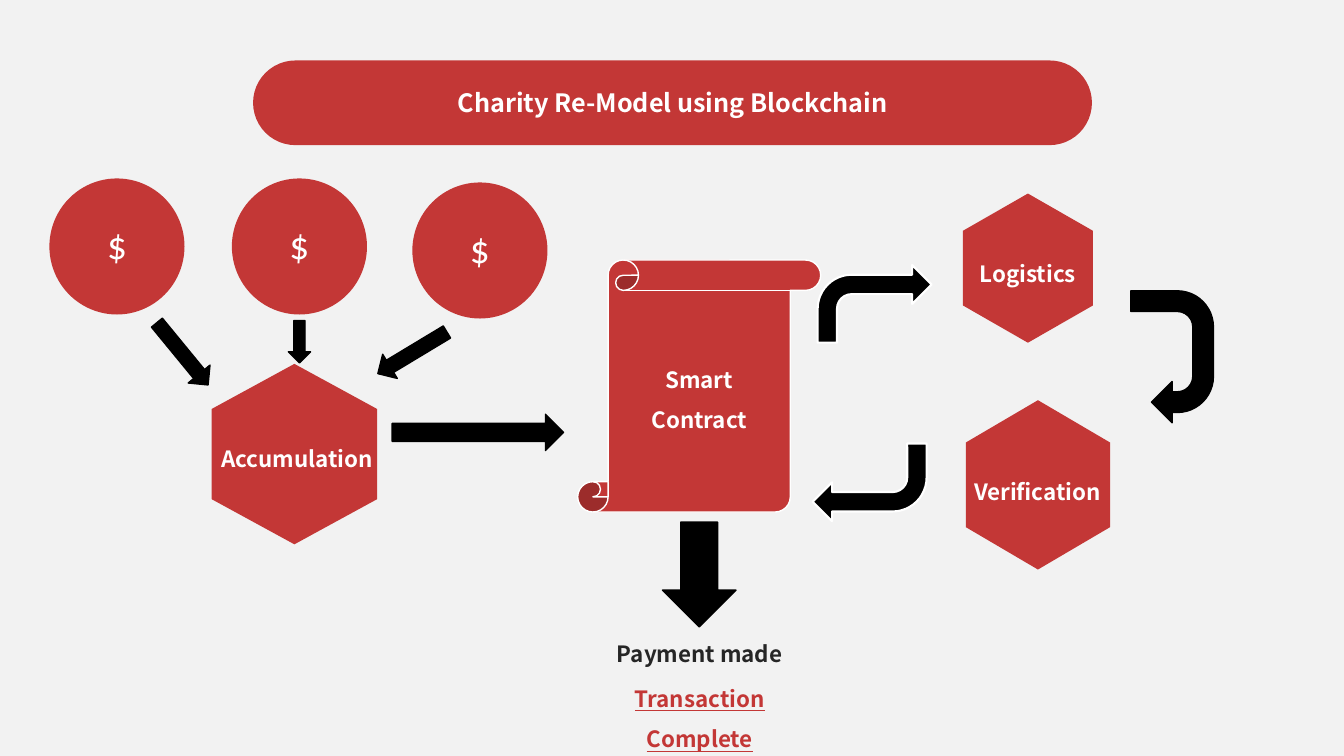
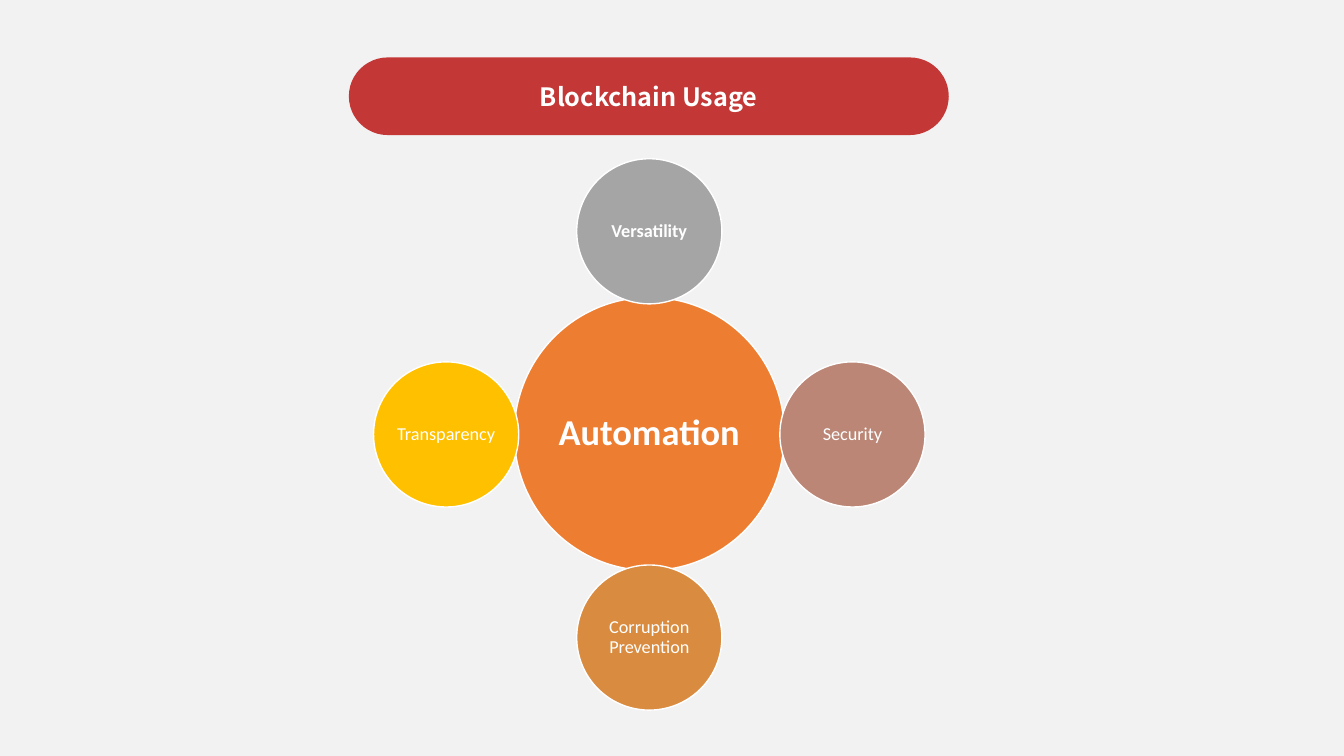
from pptx import Presentation
from pptx.dml.color import RGBColor
from pptx.enum.shapes import MSO_SHAPE as Form
from pptx.enum.text import MSO_ANCHOR as Anchor, PP_ALIGN as Align
from pptx.util import Inches, Pt

RED = RGBColor(0xC3, 0x37, 0x36)
WHITE = RGBColor(0xFF, 0xFF, 0xFF)
BLACK = RGBColor(0, 0, 0)
INK = RGBColor(0x26, 0x26, 0x26)
PAPER = RGBColor(0xF2, 0xF2, 0xF2)
ORANGE = RGBColor(0xED, 0x7D, 0x31)
GRAY = RGBColor(0xA5, 0xA5, 0xA5)
ROSE = RGBColor(0xBB, 0x86, 0x76)
AMBER = RGBColor(0xD9, 0x8B, 0x3F)
YELLOW = RGBColor(0xFF, 0xC0, 0x00)


class Deck:
    head = "Noto Sans CJK SC"
    body = "Calibri"

    def __init__(self):
        self.file = Presentation()
        self.file.slide_width = Inches(13.33)
        self.file.slide_height = Inches(7.5)
        fill = self.file.slide_master.background.fill
        fill.solid()
        fill.fore_color.rgb = PAPER

    def start(self):
        self.slide = self.file.slides.add_slide(self.file.slide_layouts[6])

    def paint(self, shape, fill, line=None, width=1):
        shape.shadow.inherit = False
        shape.fill.solid()
        shape.fill.fore_color.rgb = fill
        if line is None:
            shape.line.fill.background()
        else:
            shape.line.color.rgb = line
            shape.line.width = Pt(width)
        return shape

    def shape(self, form, box, fill=RED, line=None, width=1, turn=0):
        item = self.slide.shapes.add_shape(form, *map(Inches, box))
        item.rotation = turn
        return self.paint(item, fill, line, width)

    def style(self, para, size, font, color=WHITE, bold=True, align=Align.CENTER):
        para.alignment = align
        for run in para.runs:
            run.font.size = Pt(size)
            run.font.name = font
            run.font.bold = bold
            run.font.color.rgb = color

    def inset(self, frame, gap):
        frame.margin_left = frame.margin_right = Inches(gap)
        frame.margin_top = frame.margin_bottom = Inches(gap)

    def title(self, text, box):
        bar = self.shape(Form.ROUNDED_RECTANGLE, box)
        bar.adjustments[0] = 0.5
        bar.text_frame.text = text
        self.style(bar.text_frame.paragraphs[0], 18, self.head)

    def disc(self, text, box, size, fill=RED, line=None, bold=False, gap=0.02):
        frame = self.shape(Form.OVAL, box, fill, line).text_frame
        frame.text = text
        frame.word_wrap = True
        frame.vertical_anchor = Anchor.MIDDLE
        self.inset(frame, gap)
        para = frame.paragraphs[0]
        para.line_spacing = 0.9
        self.style(para, size, self.body, bold=bold)

    def hexagon(self, left, top, width, height):
        mid, right = left + width / 2, left + width
        high, low = top + height / 4, top + height * 3 / 4
        dots = [(mid, top), (right, high), (right, low),
                (mid, top + height), (left, low), (left, high)]
        dots = [(Inches(x), Inches(y)) for x, y in dots]
        pen = self.slide.shapes.build_freeform(*dots[0])
        pen.add_line_segments(dots[1:], close=True)
        self.paint(pen.convert_to_shape(), RED)

    def label(self, lines, box, colors=(WHITE,), align=Align.CENTER):
        frame = self.slide.shapes.add_textbox(*map(Inches, box)).text_frame
        frame.text = "\n".join(lines)
        frame.word_wrap = True
        self.inset(frame, 0)
        for spot, (para, color) in enumerate(zip(frame.paragraphs, colors)):
            para.line_spacing = 1.5
            if spot:
                para.space_before = Pt(3.2)
            self.style(para, 16, self.head, color, align=align)
        return frame


def model(deck):
    deck.start()
    deck.title("Charity Re-Model using Blockchain", (2.51, 0.6, 8.32, 0.84))
    for left, top in ((0.49, 1.77), (2.3, 1.77), (4.09, 1.81)):
        deck.disc("$", (left, top, 1.34, 1.35), 28)
    for box in ((2.1, 3.61, 1.64, 1.79), (9.55, 1.92, 1.29, 1.48),
                (9.58, 3.97, 1.43, 1.68)):
        deck.hexagon(*box)
    deck.shape(Form.VERTICAL_SCROLL, (5.73, 2.58, 2.41, 2.5), RED, WHITE)
    for box, turn in (((8.11, 2.63, 1.13, 0.77), 0), ((8.06, 4.4, 1.13, 0.77), 180)):
        deck.shape(Form.BENT_ARROW, box, BLACK, WHITE, 1.5, turn)
    arrows = [
        (Form.U_TURN_ARROW, (10.97, 3.13, 1.31, 0.82), 90),
        (Form.DOWN_ARROW, (6.57, 5.18, 0.73, 1.04), 0),
        (Form.RIGHT_ARROW, (3.89, 4.11, 1.7, 0.36), 0),
        (Form.RIGHT_ARROW, (1.41, 3.37, 0.8, 0.28), 50.6),
        (Form.RIGHT_ARROW, (3.69, 3.36, 0.8, 0.28), 148.9),
        (Form.RIGHT_ARROW, (2.76, 3.28, 0.42, 0.22), 90),
    ]
    for form, box, turn in arrows:
        deck.shape(form, box, BLACK, BLACK, turn=turn)
    deck.label(["Accumulation"], (1.96, 4.28, 1.74, 0.36), align=Align.RIGHT)
    deck.label(["Smart Contract"], (6.36, 3.5, 1.15, 0.76))
    deck.label(["Logistics"], (9.62, 2.45, 1.15, 0.36))
    deck.label(["Verification"], (9.51, 4.61, 1.56, 0.36))
    frame = deck.label(["Payment made", "Transaction Complete"],
                       (5.85, 6.22, 2.18, 1.68), (INK, RED))
    frame.paragraphs[1].runs[0].font.underline = True


def usage(deck):
    deck.start()
    deck.title("Blockchain Usage", (3.46, 0.57, 5.95, 0.77))
    mid, level, reach, size = 6.44, 4.31, 2.015, 1.44
    deck.disc("Automation", (5.1, 2.95, 2.68, 2.71), 26, ORANGE, WHITE, True, 0.04)
    moons = [
        ("Versatility", 0, -1, GRAY, True),
        ("Security", 1, 0, ROSE, False),
        ("Corruption Prevention", 0, 1, AMBER, False),
        ("Transparency", -1, 0, YELLOW, False),
    ]
    for text, across, down, fill, bold in moons:
        left = mid + across * reach - size / 2
        top = level + down * reach - size / 2
        deck.disc(text, (left, top, size, size), 13, fill, WHITE, bold)


def main():
    deck = Deck()
    model(deck)
    usage(deck)
    deck.file.save("out.pptx")


if __name__ == "__main__":
    main()
